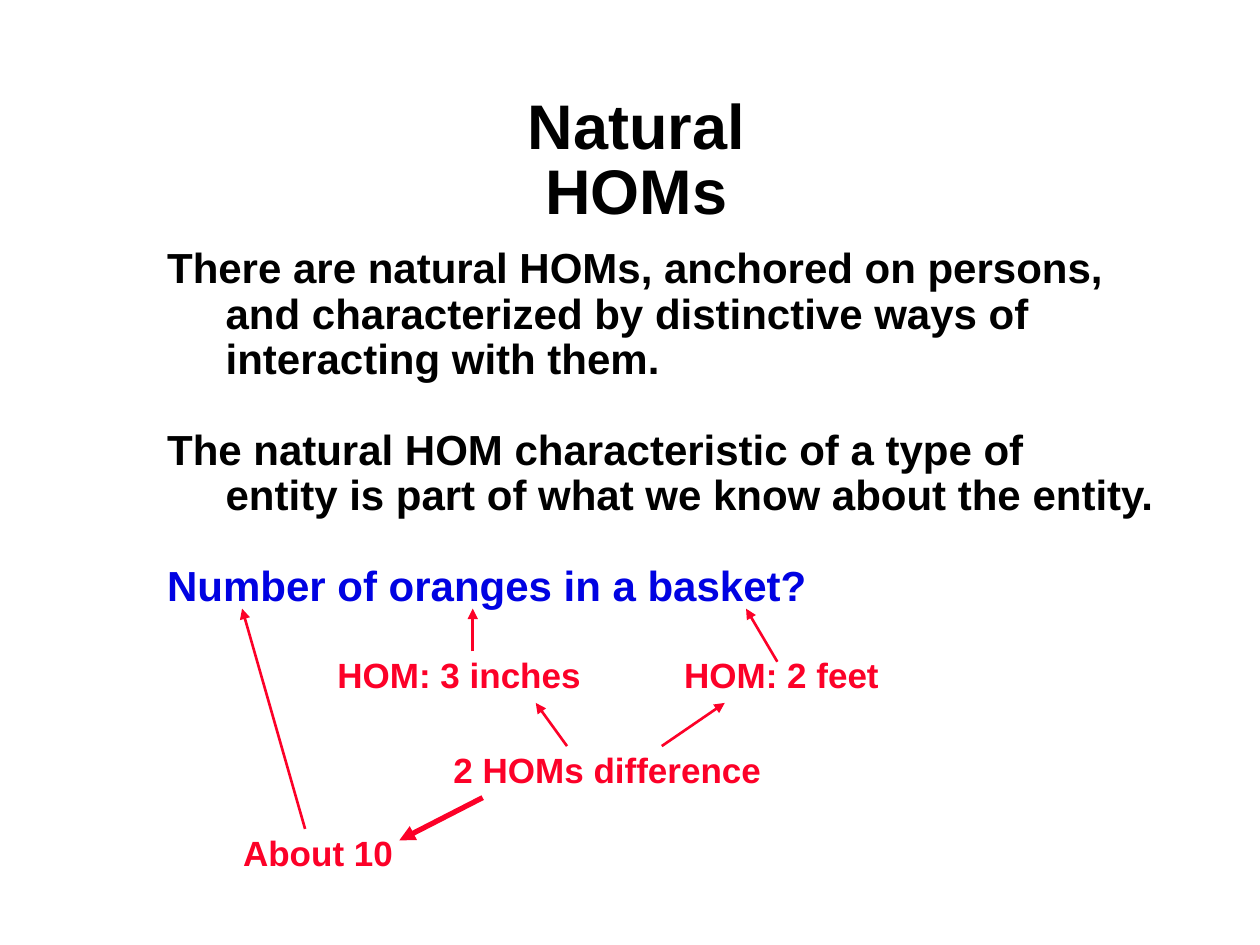
import lxml.etree
import pptx
import pptx.dml.color
import pptx.enum.shapes
import pptx.enum.text
import pptx.oxml.ns
import pptx.util

Cm, Pt = pptx.util.Cm, pptx.util.Pt
ALIGN = pptx.enum.text.PP_ALIGN
BLACK, BLUE, RED = "000000", "0002E2", "FC0128"


def rgb(value):
    return pptx.dml.color.RGBColor.from_string(value)


class Deck:
    font = "Arial"

    def __init__(self, width, height):
        self.prs = pptx.Presentation()
        self.prs.slide_width, self.prs.slide_height = Cm(width), Cm(height)
        self.s = None

    def new_slide(self):
        self.s = self.prs.slides.add_slide(self.prs.slide_layouts[6])

    def text(self, x, y, w, h, paragraphs, size, pitch, align=ALIGN.LEFT,
             inset=(0.25, 0.13), hang=0, gap=0):
        """Add a box of (text, colour) paragraphs; pitch is the line height in points."""
        sp = self.s.shapes.add_textbox(Cm(x), Cm(y), Cm(w), Cm(h))
        tf = sp.text_frame
        tf.word_wrap = True
        tf.margin_left = tf.margin_right = Cm(inset[0])
        tf.margin_top = tf.margin_bottom = Cm(inset[1])
        for i, (text, colour) in enumerate(paragraphs):
            p = tf.add_paragraph() if i else tf.paragraphs[0]
            p.text = text
            p.alignment = align
            p.line_spacing = Pt(pitch)
            if i:
                p.space_before = Pt(gap)
            if hang:
                pPr = p._p.get_or_add_pPr()
                pPr.set("marL", str(Cm(hang)))
                pPr.set("indent", str(-Cm(hang)))
            p.font.name, p.font.size, p.font.bold = self.font, Pt(size), True
            p.font.color.rgb = rgb(colour)
        return sp

    def label(self, x, y, w, text):
        return self.text(x, y, w, 1.02, [(text, RED)], 20, 21.6)

    def arrow(self, x1, y1, x2, y2, width=1.5):
        c = self.s.shapes.add_connector(
            pptx.enum.shapes.MSO_CONNECTOR.STRAIGHT, Cm(x1), Cm(y1), Cm(x2), Cm(y2))
        c.line.color.rgb = rgb(RED)
        c.line.width = Pt(width)
        qn = pptx.oxml.ns.qn
        lxml.etree.SubElement(c.line._get_or_add_ln(), qn("a:tailEnd"), type="triangle")
        lxml.etree.SubElement(c._element.spPr, qn("a:effectLst"))
        return c


def main():
    deck = Deck(25.4, 19.05)
    deck.new_slide()

    # Title
    deck.text(8.46, 1.9, 8.74, 2.74, [("Natural\vHOMs", BLACK)], 36, 36.7,
              align=ALIGN.CENTER, inset=(0.18, 0.08))

    # Statements and question
    deck.text(3.12, 4.85, 20.6, 7.57, [
        ("There are natural HOMs, anchored on persons,\v"
         "and characterized by distinctive ways of\v"
         "interacting with them.", BLACK),
        ("The natural HOM characteristic of a type of\v"
         "entity is part of what we know about the entity.", BLACK),
        ("Number of oranges in a basket?", BLUE),
    ], 24, 25.9, hang=1.18, gap=25.9)

    # Labels of the estimate
    for x, y, w, text in [
        (6.55, 13.13, 5.5, "HOM: 3 inches"),
        (13.54, 13.13, 4.5, "HOM: 2 feet"),
        (8.89, 15.04, 6.8, "2 HOMs difference"),
        (4.65, 16.71, 3.6, "About 10"),
    ]:
        deck.label(x, y, w, text)

    # Arrows from the labels to the words and to each other
    question_y, hom_y = 12.27, 14.17
    deck.arrow(9.53, 13.13, 9.53, question_y)
    deck.arrow(15.67, 13.34, 15.04, question_y)
    deck.arrow(11.43, 15.04, 10.8, hom_y)
    deck.arrow(13.34, 15.04, 14.61, hom_y)
    deck.arrow(6.15, 16.71, 4.88, question_y)
    deck.arrow(9.73, 16.08, 8.05, 16.94, width=3)

    deck.prs.save("out.pptx")


if __name__ == "__main__":
    main()
